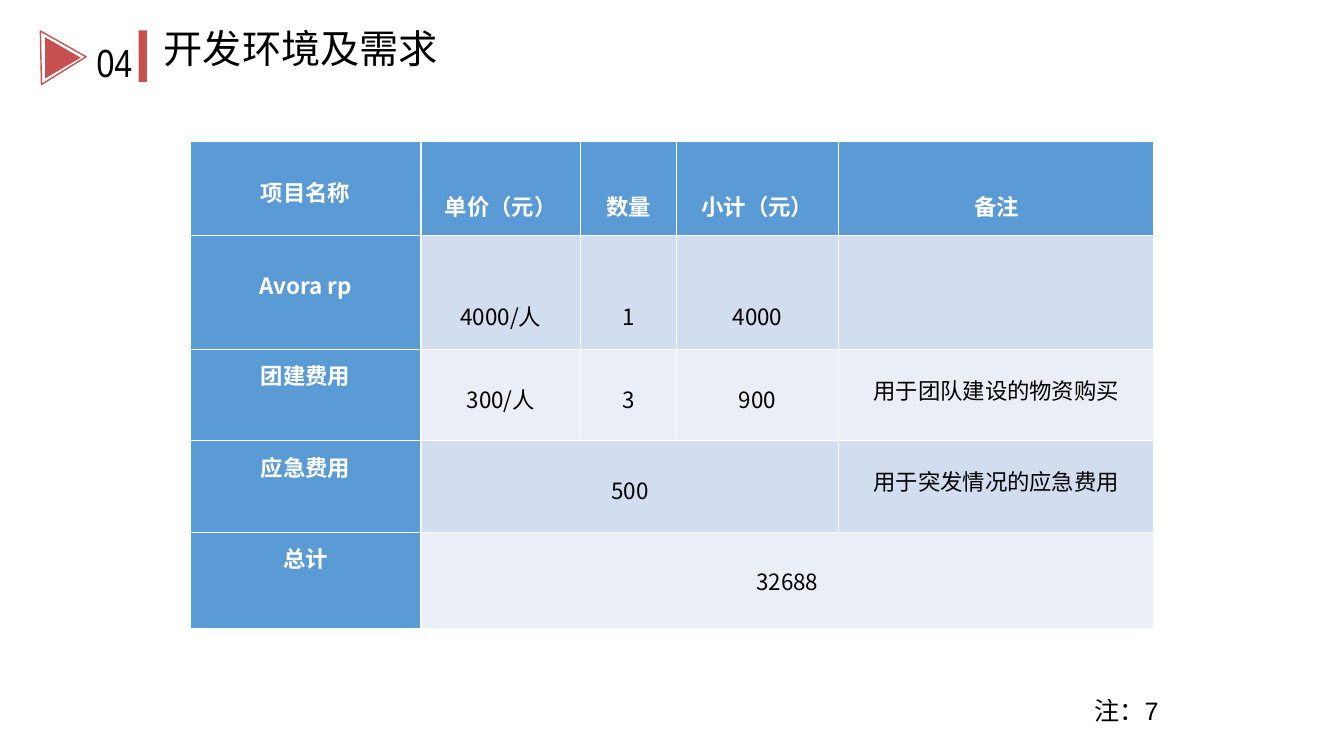
"""Build the budget slide for development environment and requirements."""
from dataclasses import dataclass

from lxml import etree
from pptx import Presentation
from pptx import util as u
from pptx.dml.color import RGBColor
from pptx.enum import shapes, text
from pptx.oxml import ns

EMU_PER_PX = 9525


@dataclass(frozen=True)
class Theme:
    red: str = "C75050"
    blue: str = "5B9BD5"
    bands: tuple = ("D2DEEF", "EAEFF7")
    white: str = "FFFFFF"
    black: str = "000000"
    cjk: str = "Noto Sans CJK SC"
    serif: str = "Times New Roman"
    sans: str = "Arial"
    narrow: str = "Arial Narrow"
    heading: int = 28
    note: int = 18
    table: int = 16
    rule: int = 1


@dataclass(frozen=True)
class Box:
    left: int
    top: int
    width: int
    height: int

    def emu(self) -> list:
        return [px(v) for v in (self.left, self.top, self.width, self.height)]


@dataclass(frozen=True)
class Mark:
    preset: int
    box: Box
    rotation: float = 0
    filled: bool = True


@dataclass(frozen=True)
class Entry:
    words: str
    inset: int
    span: int = 1
    font: str = "Noto Sans CJK SC"


@dataclass(frozen=True)
class Row:
    height: int
    entries: tuple


THEME = Theme()
SERIF = THEME.serif

MARKS = (
    Mark(shapes.MSO_SHAPE.ISOSCELES_TRIANGLE, Box(35, 33, 51, 43), 88.8, False),
    Mark(shapes.MSO_SHAPE.ISOSCELES_TRIANGLE, Box(32, 43, 39, 34), 209.8),
    Mark(shapes.MSO_SHAPE.RECTANGLE, Box(132, 29, 8, 49)),
)

COLUMNS = (220, 152, 91, 155, 300)
HEADERS = ("单价（元）", "数量", "小计（元）", "备注")
ROWS = (
    Row(89, (Entry("项目名称", 32, font=SERIF),
             *(Entry(header, 46, font=SERIF) for header in HEADERS))),
    Row(109, (Entry("Avora rp", 32), Entry("4000/人", 61), Entry("1", 61),
              Entry("4000", 61), Entry("", 0))),
    Row(87, (Entry("团建费用", 9, font=SERIF), Entry("300/人", 31), Entry("3", 31),
             Entry("900", 31), Entry("用于团队建设的物资购买", 23, font=SERIF))),
    Row(87, (Entry("应急费用", 9, font=SERIF), Entry("500", 31, 3),
             Entry("用于突发情况的应急费用", 23, font=SERIF))),
    Row(92, (Entry("总计", 9, font=SERIF), Entry("32688", 31, 4))),
)
TABLE = Box(181, 135, sum(COLUMNS), sum(row.height for row in ROWS))


def px(value: int) -> int:
    return value * EMU_PER_PX


def write(frame, words: str, *, size: int, font: str, color: str = THEME.black,
          bold: bool = False, align=text.PP_ALIGN.LEFT) -> None:
    paragraph = frame.paragraphs[0]
    paragraph.alignment = align
    run = paragraph.add_run()
    run.text = words
    run.font.size = u.Pt(size)
    run.font.bold = bold
    run.font.color.rgb = RGBColor.from_string(color)
    run.font.name = font
    east_asian = etree.SubElement(run.font._element, ns.qn("a:ea"))
    east_asian.set("typeface", THEME.cjk)


def place(holder, box: Box):
    holder.left, holder.top, holder.width, holder.height = box.emu()
    frame = holder.text_frame
    frame.margin_left = frame.margin_right = frame.margin_top = frame.margin_bottom = 0
    frame.vertical_anchor = text.MSO_ANCHOR.TOP
    frame.auto_size = text.MSO_AUTO_SIZE.NONE
    frame.word_wrap = True
    return frame


def draw_mark(slide, mark: Mark) -> None:
    drawn = slide.shapes.add_shape(mark.preset, *mark.box.emu())
    drawn.shadow.inherit = False
    drawn.rotation = mark.rotation
    red = RGBColor.from_string(THEME.red)
    if mark.filled:
        drawn.fill.solid()
        drawn.fill.fore_color.rgb = red
        drawn.line.fill.background()
    else:
        drawn.fill.background()
        drawn.line.color.rgb = red
        drawn.line.width = u.Pt(THEME.rule)


def outline(cell) -> None:
    properties = cell._tc.get_or_add_tcPr()
    for side in ("lnL", "lnR", "lnT", "lnB"):
        edge = etree.SubElement(properties, ns.qn(f"a:{side}"), w=str(u.Pt(THEME.rule)))
        fill = etree.SubElement(edge, ns.qn("a:solidFill"))
        etree.SubElement(fill, ns.qn("a:srgbClr"), val=THEME.white)


def draw_budget(slide) -> None:
    budget = slide.shapes.add_table(len(ROWS), len(COLUMNS), *TABLE.emu()).table
    budget.first_col = True
    for column, width in zip(budget.columns, COLUMNS):
        column.width = px(width)
    for r, row in enumerate(ROWS):
        budget.rows[r].height = px(row.height)
        for c in range(len(COLUMNS)):
            cell = budget.cell(r, c)
            outline(cell)
            cell.fill.solid()
            shade = THEME.blue if r == 0 or c == 0 else THEME.bands[(r - 1) % 2]
            cell.fill.fore_color.rgb = RGBColor.from_string(shade)
        c = 0
        for entry in row.entries:
            cell = budget.cell(r, c)
            if entry.span > 1:
                cell.merge(budget.cell(r, c + entry.span - 1))
            cell.margin_left = cell.margin_right = px(7)
            cell.margin_top, cell.margin_bottom = px(entry.inset), 0
            if entry.words:
                label = r == 0 or c == 0
                write(cell.text_frame, entry.words, size=THEME.table, font=entry.font,
                      color=THEME.white if label else THEME.black, bold=label,
                      align=text.PP_ALIGN.CENTER)
            c += entry.span


def main() -> None:
    deck = Presentation()
    deck.slide_width, deck.slide_height = px(1280), px(720)
    slide = deck.slides.add_slide(deck.slide_layouts[5])
    for mark in MARKS:
        draw_mark(slide, mark)
    write(place(slide.shapes.title, Box(156, 23, 520, 45)), "开发环境及需求",
          size=THEME.heading, font=THEME.cjk)
    number_box, note_box = Box(92, 36, 40, 45), Box(1042, 662, 90, 36)
    write(place(slide.shapes.add_textbox(*number_box.emu()), number_box), "04",
          size=THEME.heading, font=THEME.narrow)
    draw_budget(slide)
    write(place(slide.shapes.add_textbox(*note_box.emu()), note_box), "注：7",
          size=THEME.note, font=THEME.sans)
    deck.save("out.pptx")


if __name__ == "__main__":
    main()
